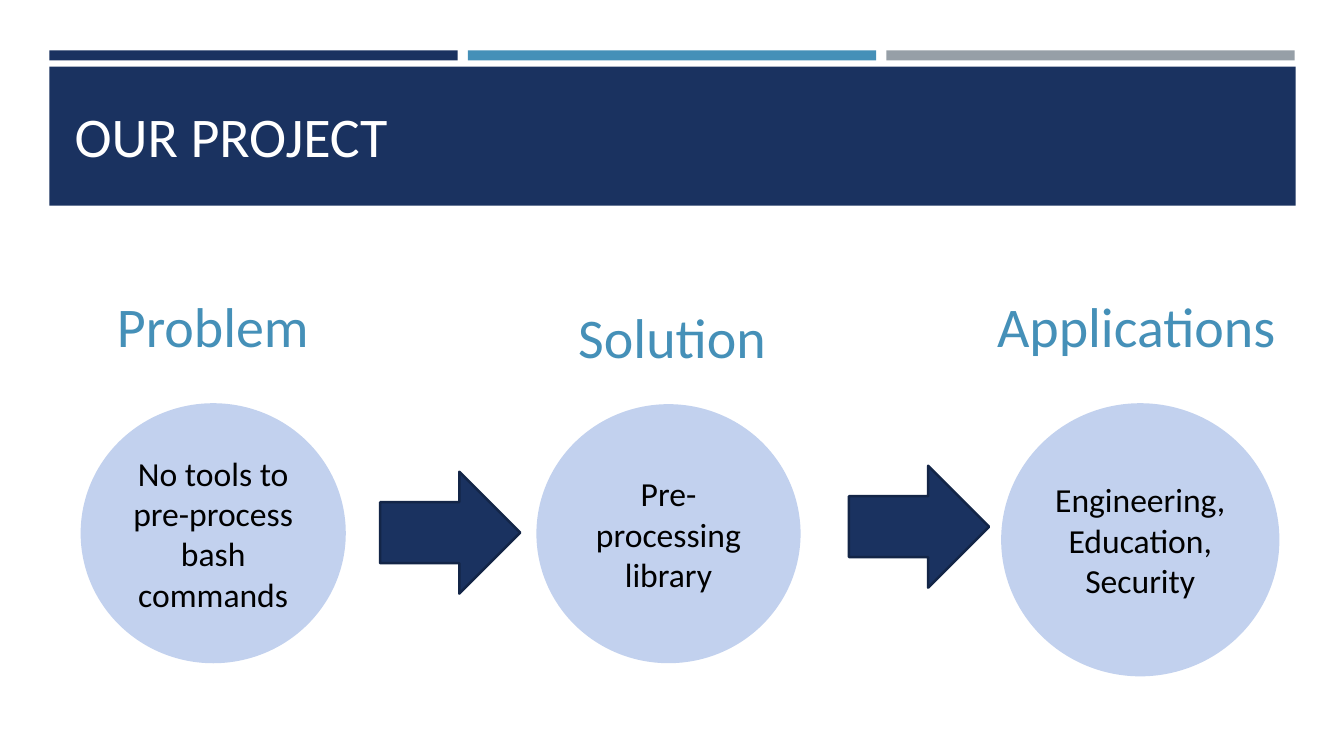
"""Build the "Our project" slide: problem, solution and applications."""
from pptx import Presentation
from pptx.dml.color import RGBColor
from pptx.enum.shapes import MSO_SHAPE as SHAPE
from pptx.enum.text import MSO_ANCHOR as ANCHOR, PP_ALIGN as ALIGN
from pptx.util import Emu, Pt

PX = 9144
FONT = "Calibri"
COLORS = {
    "navy": "1A3260",
    "edge": "132547",
    "blue": "4590B8",
    "gray": "969FA7",
    "pale": "C2D1EE",
    "white": "FFFFFF",
    "black": "000000",
}
STAGES = [
    ("Problem", (92, 250, 238, 146), ALIGN.CENTER,
     ["No tools to pre-process bash commands"], (80, 400, 263, 258)),
    ("Solution", (557, 277, 219, 113), ALIGN.CENTER,
     ["Pre-processing library"], (532, 401, 262, 257)),
    ("Applications", (979, 267, 305, 112), ALIGN.LEFT,
     ["Engineering,", "Education,", "Security"], (993, 400, 276, 271)),
]
ARROWS = [(377, 468, 139, 121), (842, 462, 139, 121)]


def px(*lengths):
    return [Emu(n * PX) for n in lengths]


def color(name):
    return RGBColor.from_string(COLORS[name])


def write(sp, lines, size, name, align):
    tf = sp.text_frame
    tf.word_wrap = True
    tf.vertical_anchor = ANCHOR.MIDDLE
    p = tf.paragraphs[0]
    p.alignment = align
    for i, line in enumerate(lines):
        if i:
            p.add_line_break()
        r = p.add_run()
        r.text = line
        r.font.name = FONT
        r.font.size = Pt(size)
        r.font.color.rgb = color(name)
    return p


def add_filled(s, kind, box, fill, edge=None):
    sp = s.shapes.add_shape(kind, *px(*box))
    sp.shadow.inherit = False
    sp.fill.solid()
    sp.fill.fore_color.rgb = color(fill)
    if edge:
        sp.line.color.rgb = color(edge)
        sp.line.width = Pt(1.75)
    else:
        sp.line.fill.background()
    return sp


def add_banner(s):
    for i, fill in enumerate(["navy", "blue", "gray"]):
        add_filled(s, SHAPE.RECTANGLE, (49 + 415 * i, 50, 405, 10), fill)
    add_filled(s, SHAPE.RECTANGLE, (49, 66, 1236, 138), "navy")


def place_title(s, text):
    title = s.shapes.title
    title.left, title.top, title.width, title.height = px(64, 80, 1206, 108)
    write(title, [text], 40, "white", ALIGN.LEFT)
    title.element.getparent().append(title.element)


def add_stage(s, heading, heading_box, align, lines, circle_box):
    circle = add_filled(s, SHAPE.OVAL, circle_box, "pale")
    write(circle, lines, 24, "black", ALIGN.CENTER)
    label = s.shapes.add_textbox(*px(*heading_box))
    p = write(label, [heading], 40, "blue", align)
    p.space_before = Pt(8)
    p.space_after = Pt(6)


def main():
    prs = Presentation()
    prs.slide_width, prs.slide_height = px(1333, 750)
    s = prs.slides.add_slide(prs.slide_layouts[5])
    add_banner(s)
    place_title(s, "OUR PROJECT")
    for stage in STAGES:
        add_stage(s, *stage)
    for box in ARROWS:
        add_filled(s, SHAPE.RIGHT_ARROW, box, "navy", "edge")
    prs.save("out.pptx")


if __name__ == "__main__":
    main()
